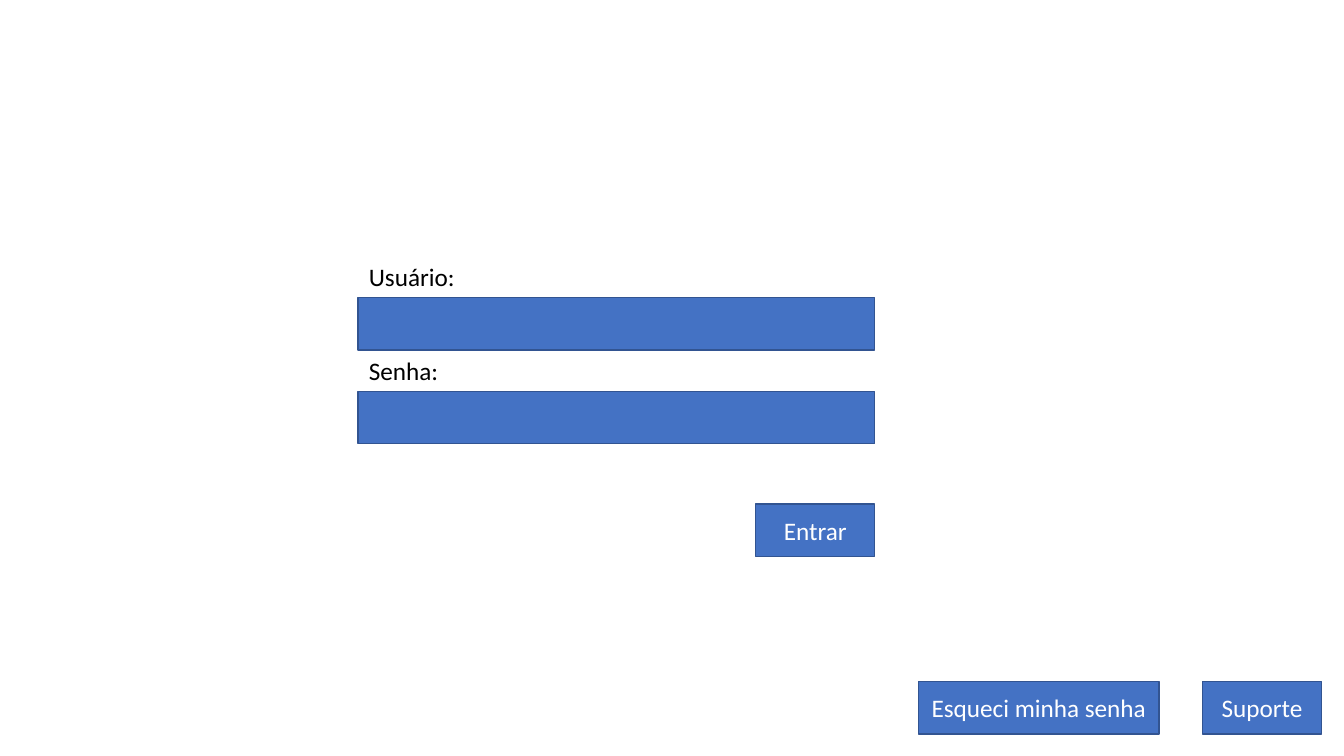
from pptx import Presentation
from pptx.dml.color import RGBColor
from pptx.enum import shapes, text
from pptx.util import Pt

BLUE = RGBColor(0x44, 0x72, 0xC4)
OUTLINE = RGBColor(0x32, 0x54, 0x91)
WHITE = RGBColor(0xFF, 0xFF, 0xFF)
BLACK = RGBColor(0, 0, 0)

BAR_HEIGHT = 37.5
BUTTON_WIDTH = 85


def style_text(paragraph, wording, color):
    paragraph.text = wording
    paragraph.font.name = "Calibri"
    paragraph.font.size = Pt(18)
    paragraph.font.color.rgb = color


def add_bar(slide, left, top, width, caption=""):
    """Blue bar: an input field, or a button when it has a caption."""
    bar = slide.shapes.add_shape(shapes.MSO_SHAPE.RECTANGLE, Pt(left), Pt(top),
                                 Pt(width), Pt(BAR_HEIGHT))
    bar.shadow.inherit = False
    bar.fill.solid()
    bar.fill.fore_color.rgb = BLUE
    bar.line.color.rgb = OUTLINE
    bar.line.width = Pt(1)
    if caption:
        frame = bar.text_frame
        frame.word_wrap = True
        frame.vertical_anchor = text.MSO_ANCHOR.MIDDLE
        paragraph = frame.paragraphs[0]
        paragraph.alignment = text.PP_ALIGN.CENTER
        style_text(paragraph, caption, WHITE)


def add_label(slide, left, top, wording):
    label = slide.shapes.add_textbox(Pt(left), Pt(top), Pt(144), Pt(29))
    label.text_frame.word_wrap = True
    style_text(label.text_frame.paragraphs[0], wording, BLACK)


def add_login_form(slide, left, top, width):
    # Labelled input fields
    label_height, field_pitch = 29.5, 67
    for row, wording in enumerate(("Usuário:", "Senha:")):
        row_top = top + row * field_pitch
        add_bar(slide, left, row_top + label_height, width)
        add_label(slide, left + 0.6, row_top, wording)

    # Submit button, flush with the right edge of the fields
    add_bar(slide, left + width - BUTTON_WIDTH, top + 177, BUTTON_WIDTH, "Entrar")


def add_help_buttons(slide, left, top, width):
    # Support on the right, password recovery on the left
    add_bar(slide, left + width - BUTTON_WIDTH, top, BUTTON_WIDTH, "Suporte")
    add_bar(slide, left, top, 172, "Esqueci minha senha")


def main():
    prs = Presentation()
    prs.slide_width, prs.slide_height = Pt(960), Pt(540)
    slide = prs.slides.add_slide(prs.slide_layouts[6])
    add_login_form(slide, left=255.8, top=183, width=369)
    add_help_buttons(slide, left=656, top=486.7, width=288)
    prs.save("out.pptx")


if __name__ == "__main__":
    main()
